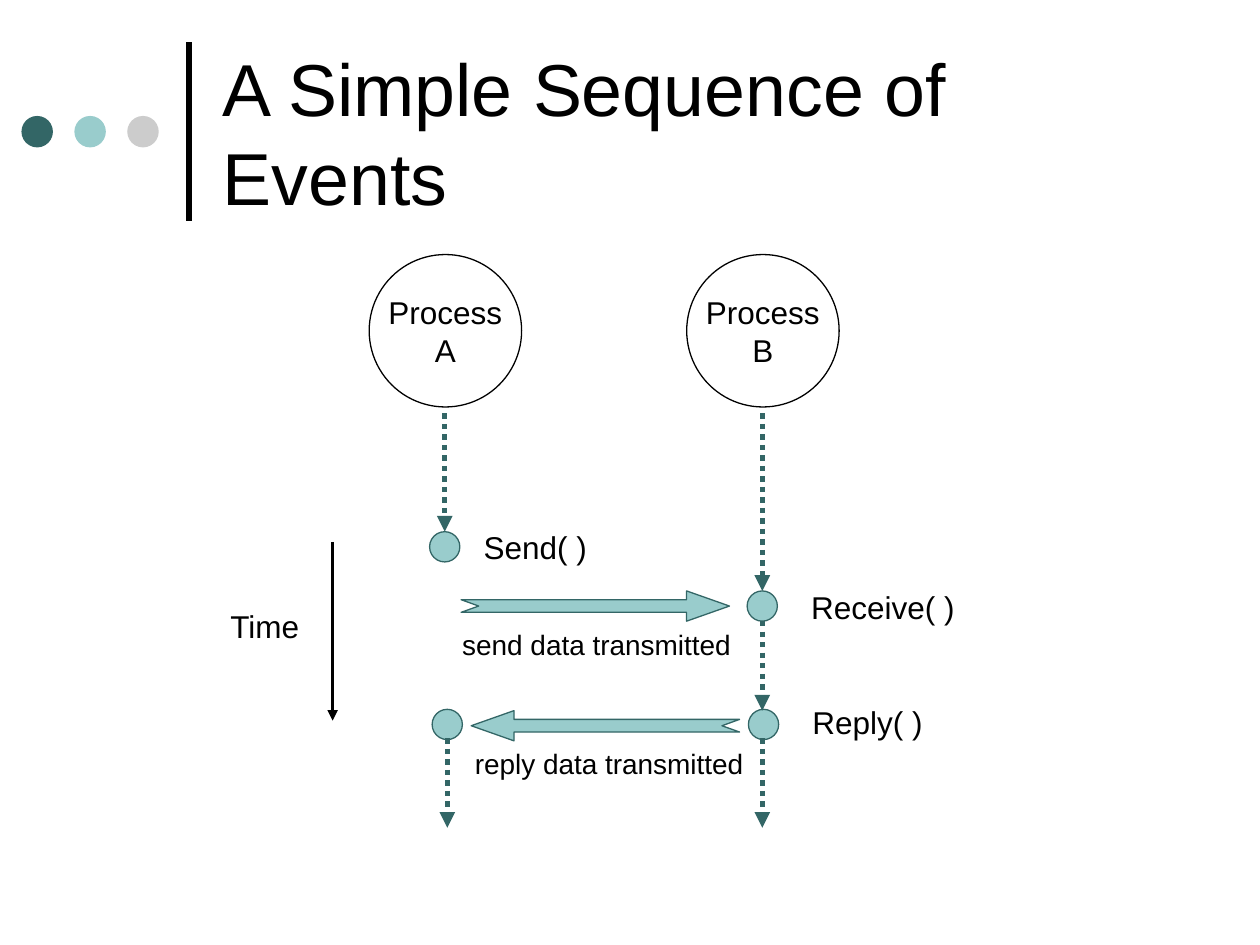
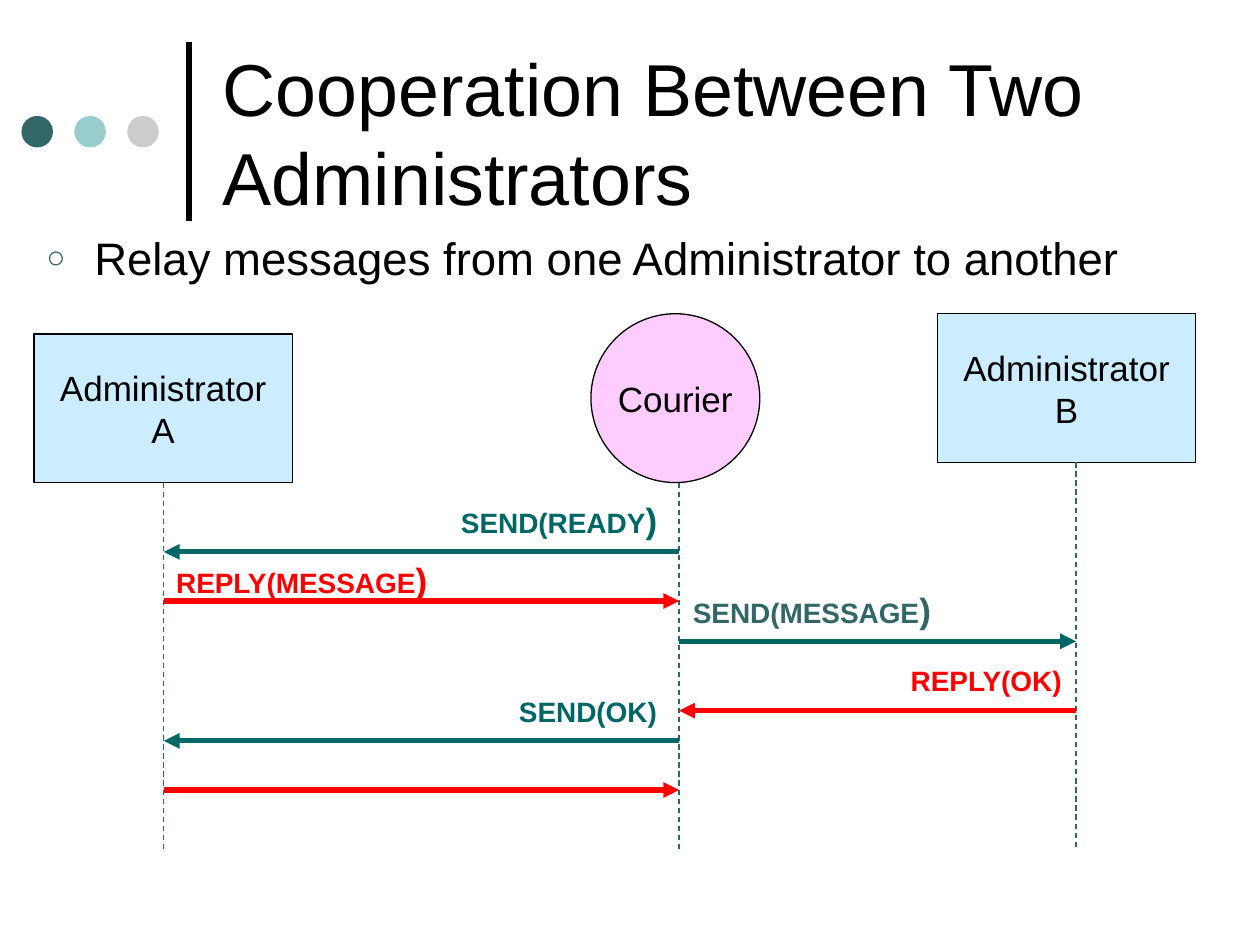
from dataclasses import dataclass

from lxml.etree import SubElement
from pptx import Presentation
from pptx.dml.color import RGBColor
from pptx.enum.dml import MSO_LINE_DASH_STYLE as Dash
from pptx.enum.shapes import MSO_CONNECTOR as Connector, MSO_SHAPE as Shape
from pptx.enum.text import MSO_ANCHOR as Anchor, MSO_AUTO_SIZE as AutoSize, PP_ALIGN as Align
from pptx.oxml.ns import qn
from pptx.util import Inches, Pt


@dataclass(frozen=True)
class Theme:
    font: str = "Arial"
    black: str = "000000"
    dark: str = "336666"
    light: str = "99CCCC"
    grey: str = "CCCCCC"
    send: str = "006666"
    reply: str = "FF0000"
    courier: str = "FFCCFF"
    administrator: str = "CCECFF"
    title: float = 42
    body: float = 26
    actor: float = 20
    label: float = 18
    message: float = 16
    thin: float = 0.75
    medium: float = 2
    thick: float = 3


THEME = Theme()

EVENTS_TITLE = "A Simple Sequence of Events"
PROCESSES = [("Process\nA", 2.93), ("Process\nB", 5.45)]
EVENTS = [(3.41, 4.22), (5.93, 4.69), (5.94, 5.63), (3.43, 5.63)]
LIFELINES = [
    (3.53, 3.28, 4.22),
    (6.05, 3.28, 4.69),
    (6.05, 4.93, 5.64),
    (6.05, 5.86, 6.57),
    (3.55, 5.86, 6.57),
]
EVENT_LABELS = [
    ("Send( )", 3.74, 4.14, 1.04),
    ("Receive( )", 6.34, 4.62, 1.36),
    ("Reply( )", 6.35, 5.53, 1.1),
    ("Time", 1.73, 4.77, 0.77),
]
TRANSFERS = [
    ("send data transmitted", 3.57, 4.93, 3.66, 4.69, 1),
    ("reply data transmitted", 3.67, 5.88, 5.87, 5.64, -1),
]
ARROW_OUTLINE = [
    (0, 0.07), (1.79, 0.07), (1.79, 0), (2.13, 0.12),
    (1.79, 0.24), (1.79, 0.17), (0, 0.17), (0.14, 0.12),
]

COOPERATION_TITLE = "Cooperation Between Two Administrators"
COOPERATION_POINT = "Relay messages from one Administrator to another"
ACTORS = [
    ("Courier", Shape.OVAL, (4.69, 2.49, 1.34, 1.34), THEME.courier),
    ("Administrator\nA", Shape.RECTANGLE, (0.27, 2.65, 2.05, 1.18), THEME.administrator),
    ("Administrator\nB", Shape.RECTANGLE, (7.44, 2.49, 2.05, 1.18), THEME.administrator),
]
LANES = {"A": (1.3, 3.83), "Courier": (5.39, 3.83), "B": (8.54, 3.67)}
LANE_END = 6.74
MESSAGES = [
    ("Courier", "A", 4.38, THEME.send),
    ("A", "Courier", 4.77, THEME.reply),
    ("Courier", "B", 5.09, THEME.send),
    ("B", "Courier", 5.64, THEME.reply),
    ("Courier", "A", 5.88, THEME.send),
    ("A", "Courier", 6.27, THEME.reply),
]
BIG_BRACKET = (")", THEME.actor)
MESSAGE_LABELS = [
    ([("SEND(READY", THEME.message), BIG_BRACKET], (3.56, 3.91, 1.78, 0.44), THEME.send),
    ([("REPLY(MESSAGE", THEME.message), BIG_BRACKET], (1.3, 4.38, 2.23, 0.44), THEME.reply),
    ([("SEND(MESSAGE", THEME.message), BIG_BRACKET], (5.4, 4.62, 2.11, 0.44), THEME.dark),
    ("REPLY(OK)", (7.13, 5.22, 1.44, 0.37), THEME.reply),
    ("SEND(OK)", (4.02, 5.46, 1.32, 0.37), THEME.send),
]


def color(value):
    return RGBColor.from_string(value)


def write(box, text, size=THEME.label, ink=THEME.black, bold=False, align=Align.LEFT,
          anchor=Anchor.TOP, wrap=False, grow=False):
    frame = box.text_frame
    frame.word_wrap = wrap
    frame.vertical_anchor = anchor
    frame.auto_size = AutoSize.SHAPE_TO_FIT_TEXT if grow else AutoSize.NONE
    para = frame.paragraphs[0]
    para.alignment = align
    for content, points in [(text, size)] if isinstance(text, str) else text:
        for index, line in enumerate(content.split("\n")):
            if index:
                para.add_line_break()
            span = para.add_run()
            span.text = line
            span.font.name = THEME.font
            span.font.size = Pt(points)
            span.font.bold = bold
            span.font.color.rgb = color(ink)
    return para


def add_text(page, text, place, **style):
    return write(page.shapes.add_textbox(*map(Inches, place)), text, **style)


def paint(shape, fill=None, line=None):
    shape.shadow.inherit = False
    if fill:
        shape.fill.solid()
        shape.fill.fore_color.rgb = color(fill)
    else:
        shape.fill.background()
    if line:
        shape.line.color.rgb = color(line)
        shape.line.width = Pt(THEME.thin)
    else:
        shape.line.fill.background()
    return shape


def add_figure(page, kind, place, **look):
    return paint(page.shapes.add_shape(kind, *map(Inches, place)), **look)


def add_line(page, start, end, ink, width, dash=None, arrow=True):
    line = page.shapes.add_connector(Connector.STRAIGHT, *map(Inches, (*start, *end)))
    line.line.color.rgb = color(ink)
    line.line.width = Pt(width)
    if dash:
        line.line.dash_style = dash
    properties = line._element.spPr
    if arrow:
        SubElement(properties.find(qn("a:ln")), qn("a:tailEnd"), type="triangle")
    SubElement(properties, qn("a:effectLst"))


def add_bullet(para):
    properties = para._p.get_or_add_pPr()
    properties.set("marL", str(Inches(0.38)))
    properties.set("indent", str(-Inches(0.38)))
    para.space_before = Pt(6.5)
    tint = SubElement(properties, qn("a:buClr"))
    SubElement(tint, qn("a:srgbClr"), val=THEME.dark)
    SubElement(properties, qn("a:buSzPct"), val="70000")
    SubElement(properties, qn("a:buFont"), typeface=THEME.font)
    SubElement(properties, qn("a:buChar"), char="○")


def add_block_arrow(page, tail, top, direction):
    points = [(Inches(tail + direction * x), Inches(top + y)) for x, y in ARROW_OUTLINE]
    outline = page.shapes.build_freeform(*points[0])
    outline.add_line_segments(points[1:], close=True)
    paint(outline.convert_to_shape(), fill=THEME.light, line=THEME.dark)


def add_page(deck, title):
    page = deck.slides.add_slide(deck.slide_layouts[6])
    add_line(page, (1.5, 1.75), (1.5, 0.33), THEME.black, THEME.thick, arrow=False)
    for index, fill in enumerate((THEME.dark, THEME.light, THEME.grey)):
        add_figure(page, Shape.OVAL, (0.17 + 0.42 * index, 0.92, 0.25, 0.25), fill=fill)
    add_text(page, title, (1.67, 0.21, 7.67, 1.67), size=THEME.title,
             anchor=Anchor.MIDDLE, wrap=True)
    return page


def build_events(deck):
    page = add_page(deck, EVENTS_TITLE)
    for name, left in PROCESSES:
        circle = add_figure(page, Shape.OVAL, (left, 2.02, 1.21, 1.21), line=THEME.black)
        write(circle, name, align=Align.CENTER, anchor=Anchor.MIDDLE)
    for left, top in EVENTS:
        add_figure(page, Shape.OVAL, (left, top, 0.24, 0.24), fill=THEME.light, line=THEME.dark)
    for x, top, bottom in LIFELINES:
        add_line(page, (x, top), (x, bottom), THEME.dark, THEME.thick, Dash.ROUND_DOT)
    add_line(page, (2.64, 4.3), (2.64, 5.72), THEME.black, THEME.medium)
    for text, left, top, width in EVENT_LABELS:
        add_text(page, text, (left, top, width, 0.4), grow=True)
    for text, left, top, tail, arrow_top, direction in TRANSFERS:
        add_block_arrow(page, tail, arrow_top, direction)
        add_text(page, text, (left, top, 2.35, 0.37), size=THEME.message, grow=True)


def build_cooperation(deck):
    page = add_page(deck, COOPERATION_TITLE)
    add_bullet(add_text(page, COOPERATION_POINT, (0.27, 1.78, 9.37, 0.71),
                        size=THEME.body, wrap=True))
    for name, kind, place, fill in ACTORS:
        figure = add_figure(page, kind, place, fill=fill, line=THEME.black)
        write(figure, name, size=THEME.actor, align=Align.CENTER, anchor=Anchor.MIDDLE)
    for x, top in LANES.values():
        add_line(page, (x, top), (x, LANE_END), THEME.dark, THEME.thin, Dash.DASH, arrow=False)
    for sender, receiver, y, ink in MESSAGES:
        add_line(page, (LANES[sender][0], y), (LANES[receiver][0], y), ink, THEME.thick)
    for text, place, ink in MESSAGE_LABELS:
        add_text(page, text, place, size=THEME.message, ink=ink, bold=True, grow=True)


def main():
    deck = Presentation()
    deck.slide_width, deck.slide_height = Inches(10), Inches(7.5)
    build_events(deck)
    build_cooperation(deck)
    deck.save("out.pptx")


if __name__ == "__main__":
    main()
